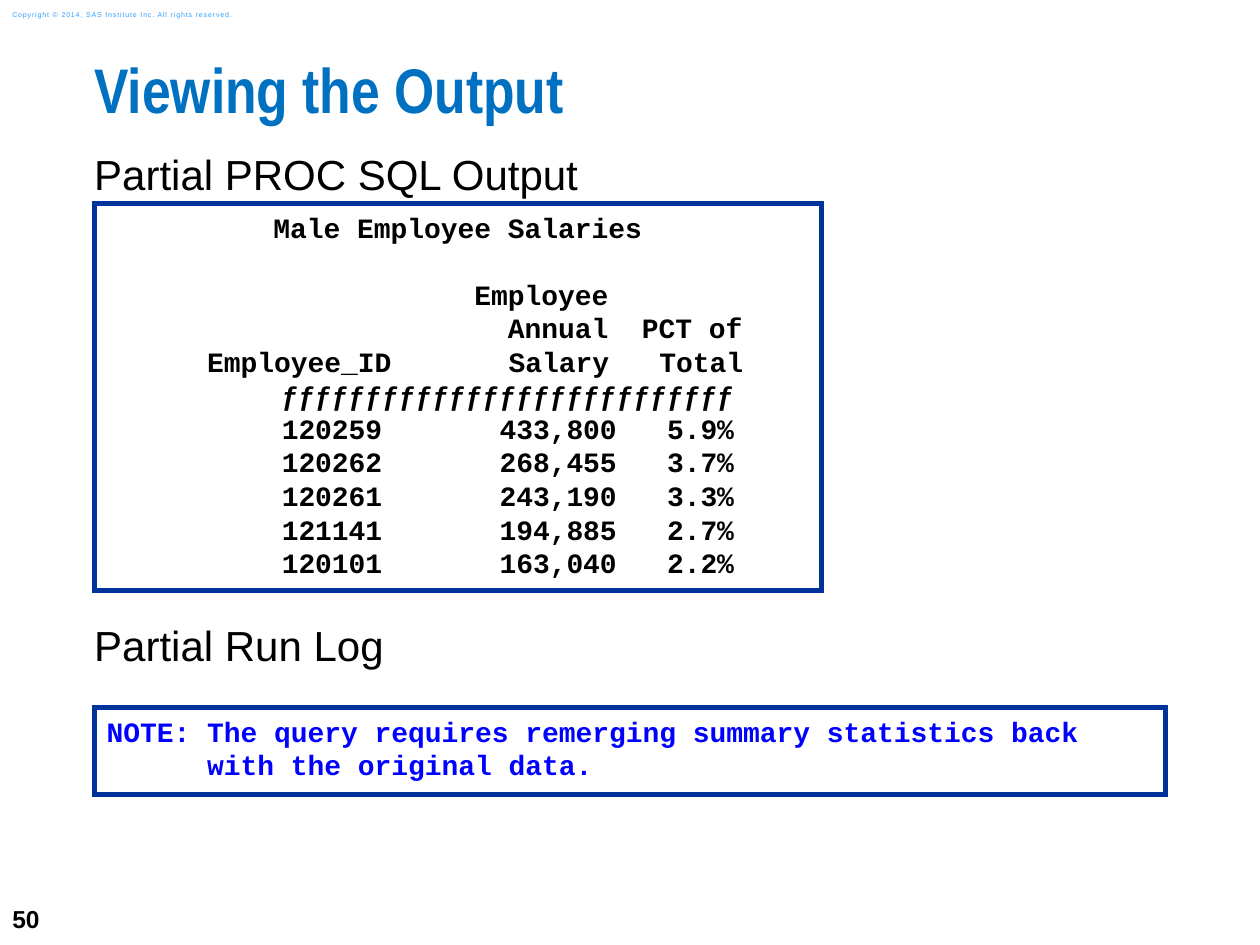
import lxml.etree
import pptx
import pptx.util
import pptx.dml.color
import pptx.enum.shapes
import pptx.enum.text
import pptx.oxml.ns

Cm = pptx.util.Cm
Pt = pptx.util.Pt
Anchor = pptx.enum.text.MSO_ANCHOR
Align = pptx.enum.text.PP_ALIGN

COLORS = {
    "title": "0070C0",
    "text": "000000",
    "frame": "003399",
    "paper": "FFFFFF",
    "note": "0000FF",
    "copyright": "2A9CFF",
}
LEFT = 1.9
REPORT = [
    "          Employee",
    "                    Annual  PCT of",
    "      Employee_ID       Salary   Total",
    "      " + "ƒ" * 27,
    "      120259       433,800   5.9%",
    "      120262       268,455   3.7%",
    "      120261       243,190   3.3%",
    "      121141       194,885   2.7%",
    "      120101       163,040   2.2%",
]


class OutputSlide:
    """Hold the slide and draw its labels and listings in one style."""

    def __init__(self, page):
        self.page = page

    def color(self, name):
        return pptx.dml.color.RGBColor.from_string(COLORS[name])

    def style(self, para, size, color, name="Arial", bold=False):
        font = para.font
        font.name, font.size, font.bold = name, Pt(size), bold
        font.color.rgb = self.color(color)

    def frame(self, box, inset_x, inset_y, anchor):
        frame = box.text_frame
        frame.word_wrap = True
        frame.vertical_anchor = anchor
        frame.margin_left = frame.margin_right = Cm(inset_x)
        frame.margin_top = frame.margin_bottom = Cm(inset_y)
        return frame

    def label(self, text, place, size, color="text", name="Arial", bold=False,
              inset=0, anchor=Anchor.TOP):
        box = self.page.shapes.add_textbox(*map(Cm, place))
        para = self.frame(box, inset, inset / 2, anchor).paragraphs[0]
        para.text = text
        self.style(para, size, color, name, bold)
        return para

    def listing(self, lines, place, color="text"):
        box = self.page.shapes.add_shape(
            pptx.enum.shapes.MSO_SHAPE.RECTANGLE, *map(Cm, place))
        box.shadow.inherit = False
        box.fill.solid()
        box.fill.fore_color.rgb = self.color("paper")
        box.line.color.rgb = self.color("frame")
        box.line.width = Pt(3)
        outline = box._element.spPr.find(pptx.oxml.ns.qn("a:ln"))
        lxml.etree.SubElement(outline, pptx.oxml.ns.qn("a:miter"), lim="800000")
        frame = self.frame(box, 0.25, 0.13, Anchor.TOP)
        frame.text = "\n".join(lines)
        for para in frame.paragraphs:
            para.alignment = Align.LEFT
            self.style(para, 16, color, "Courier New", True)
        return frame.paragraphs


def main():
    deck = pptx.Presentation()
    deck.slide_width, deck.slide_height = Cm(25.4), Cm(19.05)
    slide = OutputSlide(deck.slides.add_slide(deck.slide_layouts[6]))

    slide.label("50", (0, 17.98, 1.47, 1.07), 14, bold=True,
                inset=0.25, anchor=Anchor.MIDDLE)
    notice = slide.label(
        "Copyright © 2014, SAS Institute Inc. All rights reserved.",
        (0, 0.08, 5.36, 0.43), 4, "copyright", inset=0.25, anchor=Anchor.MIDDLE)
    notice.runs[0].font._element.set("spc", "50")

    title = slide.label("Viewing the Output", (LEFT, 1.27, 23.5, 1.88), 36,
                        "title", "Arial Narrow", True)
    title.line_spacing = 0.83
    slide.label("Partial PROC SQL Output", (LEFT, 2.99, 21.8, 1), 24)
    slide.label("Partial Run Log", (LEFT, 12.48, 21.8, 1), 24)

    report = slide.listing(["Male Employee Salaries"] + REPORT,
                           (LEFT, 4.11, 14.66, 7.8))
    for para in report:
        if "Employee_ID" not in para.text:
            para.alignment = Align.CENTER
    report[1].space_before = Pt(19)

    slide.listing(
        ["NOTE: The query requires remerging summary statistics back\v"
         "      with the original data."],
        (LEFT, 14.27, 21.59, 1.75), "note")
    deck.save("out.pptx")


if __name__ == "__main__":
    main()
